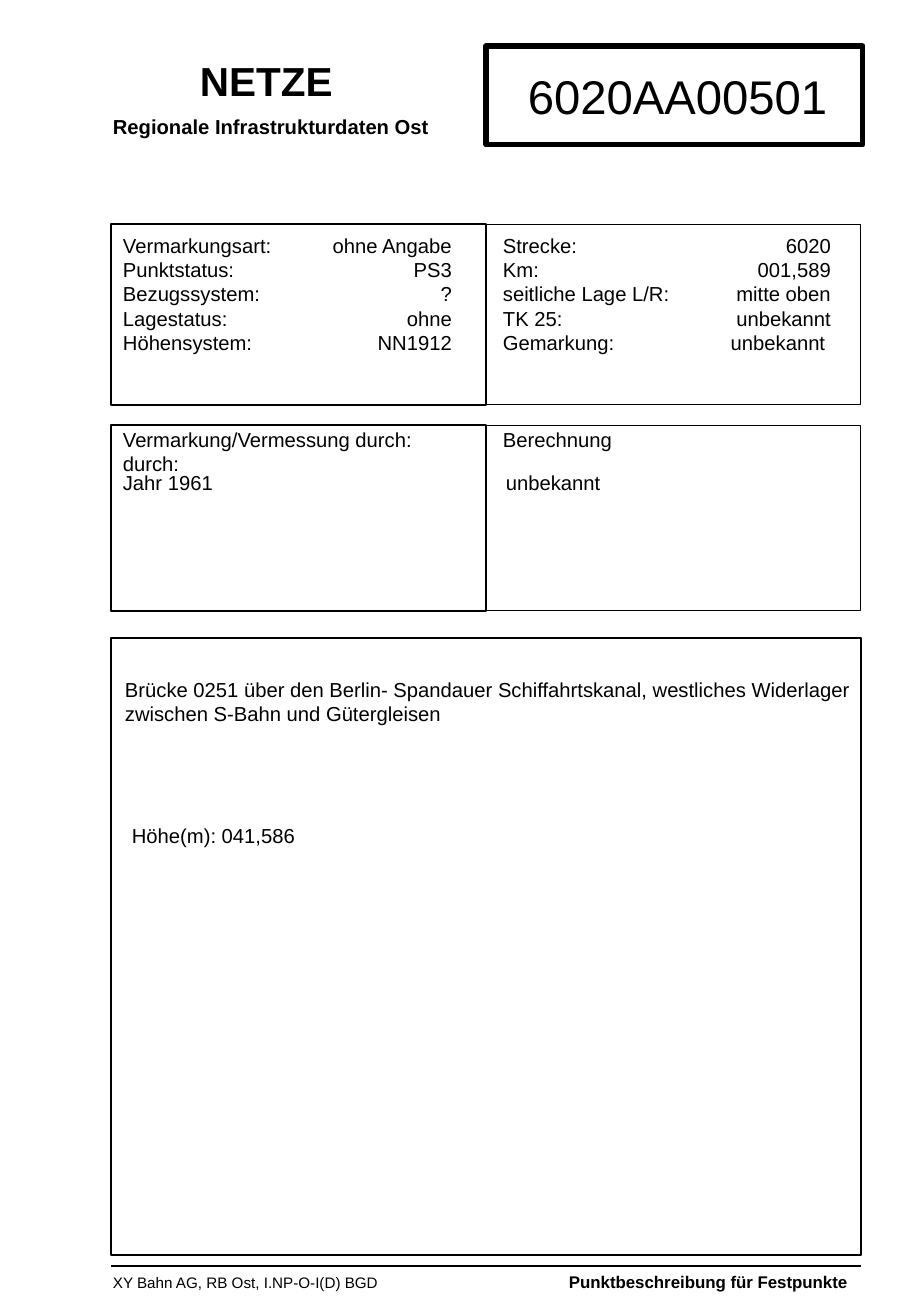
from lxml.etree import SubElement
from pptx import Presentation
from pptx.dml.color import RGBColor
from pptx.enum.shapes import MSO_CONNECTOR as CONNECTOR, MSO_SHAPE as SHAPE
from pptx.enum.text import MSO_ANCHOR as ANCHOR, MSO_AUTO_SIZE as AUTOSIZE, PP_ALIGN as ALIGN
from pptx.oxml.ns import qn
from pptx.util import Pt

EMU_PER_PX = 914400 / 121.5
COLOURS = {"ink": "000000"}
FONT = "Arial"
PAGE = (911, 1316)
INSET = 12


def px(length):
    return round(length * EMU_PER_PX)


def ink():
    return RGBColor.from_string(COLOURS["ink"])


def style_runs(paragraph, size, bold=False):
    for run in paragraph.runs:
        run.font.name, run.font.size, run.font.bold = FONT, Pt(size), bold
        run.font.color.rgb = ink()


def add_tabs(paragraph, stops):
    """Tab stops as (pixels from the text's left edge, "l" or "r")."""
    tab_list = SubElement(paragraph._p.get_or_add_pPr(), qn("a:tabLst"))
    for position, side in stops:
        SubElement(tab_list, qn("a:tab"), pos=str(px(position)), algn=side)


def add_text(slide, box, lines, size=12, bold=False, tabs=()):
    frame = slide.shapes.add_textbox(*map(px, box)).text_frame
    frame.word_wrap = True
    frame.text = "\n".join(lines)
    for paragraph in frame.paragraphs:
        style_runs(paragraph, size, bold)
        if tabs:
            add_tabs(paragraph, tabs)
    return frame


def add_outline(slide, box, weight=0.75):
    outline = slide.shapes.add_shape(SHAPE.RECTANGLE, *map(px, box))
    outline.shadow.inherit = False
    outline.fill.background()
    outline.line.color.rgb = ink()
    outline.line.width = Pt(weight)


def add_split_panel(slide, box):
    left, top, width, height = box
    add_outline(slide, box, 0.5)
    add_outline(slide, (left, top, width // 2, height))


def header(slide, box):
    left, top, width, height = box
    # Department
    add_text(slide, (left + 77, top + 4, 164, 61), ["NETZE"], 24, True)
    add_text(slide, (left - 10, top + 62, 360, 36),
             ["Regionale Infrastrukturdaten Ost"], 12, True)
    # Point number
    add_outline(slide, (left + 375, top, width - 373, height), 3)
    number = slide.shapes.title
    number.left, number.top, number.width, number.height = map(
        px, (left + 383, top + 15, 367, 69))
    frame = number.text_frame
    frame.text = "6020AA00501"
    frame.word_wrap = True
    frame.auto_size = AUTOSIZE.NONE
    frame.vertical_anchor = ANCHOR.TOP
    frame.paragraphs[0].alignment = ALIGN.CENTER
    style_runs(frame.paragraphs[0], 28)


def point_data(slide, box):
    left, top, width, height = box
    add_split_panel(slide, box)
    rows = [
        ("Vermarkungsart:", "ohne Angabe", "Strecke:", "6020"),
        ("Punktstatus: ", "PS3", "Km:", "001,589"),
        ("Bezugssystem:", "?", "seitliche Lage L/R:", "mitte oben"),
        ("Lagestatus:", "ohne", "TK 25:", "unbekannt"),
        ("Höhensystem:", "NN1912", "Gemarkung:", "unbekannt "),
    ]
    add_text(slide, (left, top + 3, width, 153), ["\t".join(row) for row in rows],
             tabs=[(329, "r"), (380, "l"), (708, "r")])


def survey(slide, box):
    left, top, width, height = box
    add_split_panel(slide, box)
    add_text(slide, (left, top - 4, 541, 61),
             ["Vermarkung/Vermessung durch:\tBerechnung durch:"], tabs=[(380, "l")])
    for offset, entry in ((0, "Jahr 1961"), (383, "unbekannt")):
        add_text(slide, (left + offset, top + 39, 358, 36), [entry])


def location(slide, box):
    left, top, width, height = box
    add_outline(slide, box)
    add_text(slide, (left + 2, top + 33, width, 61),
             ["Brücke 0251 über den Berlin- Spandauer Schiffahrtskanal, "
              "westliches Widerlager zwischen S-Bahn und Gütergleisen"])
    add_text(slide, (left + 9, top + 179, 367, 36), ["Höhe(m): 041,586"])


def footer(slide, box):
    left, top, width, height = box
    rule = slide.shapes.add_connector(
        CONNECTOR.STRAIGHT, px(left), px(top), px(left + width), px(top))
    rule.line.color.rgb = ink()
    rule.line.width = Pt(0.75)
    SubElement(rule._element.spPr, qn("a:effectLst"))
    # Publisher and document type
    frame = add_text(slide, (left - 10, top, width + 12, height),
                     ["XY Bahn AG, RB Ost, I.NP-O-I(D) BGD\t"], 9,
                     tabs=[(468 - INSET, "l")])
    document_type = frame.paragraphs[0].add_run()
    document_type.text = "Punktbeschreibung für Festpunkte"
    document_type.font.name, document_type.font.size = FONT, Pt(10)
    document_type.font.bold = True
    document_type.font.color.rgb = ink()


deck = Presentation()
deck.slide_width, deck.slide_height = map(px, PAGE)
sheet = deck.slides.add_slide(deck.slide_layouts[5])

LEFT, WIDTH = 111, 750
for region, top, height in (
    (header, 46, 99),
    (point_data, 224, 181),
    (survey, 425, 186),
    (location, 638, 617),
    (footer, 1266, 33),
):
    region(sheet, (LEFT, top, WIDTH, height))

deck.save("out.pptx")
